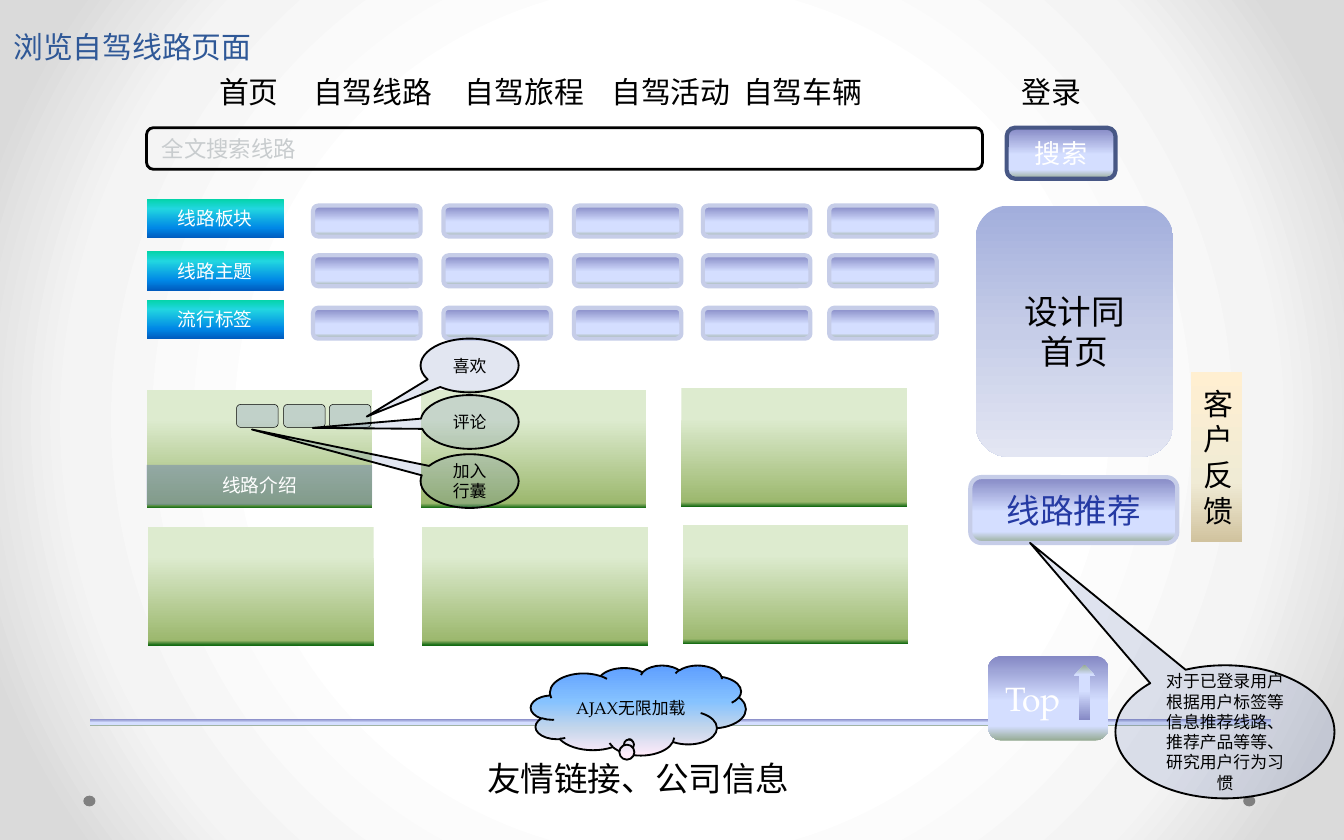
from dataclasses import dataclass
from typing import Any, Optional

from lxml import etree
from pptx import Presentation
from pptx.dml.color import RGBColor
from pptx.enum.shapes import MSO_SHAPE
from pptx.enum.text import MSO_ANCHOR, PP_ALIGN
from pptx.oxml.ns import qn
from pptx.util import Pt

RECT, ROUND = MSO_SHAPE.RECTANGLE, MSO_SHAPE.ROUNDED_RECTANGLE
OVAL, ARROW = MSO_SHAPE.OVAL, MSO_SHAPE.DOWN_ARROW
BUBBLE, CLOUD = MSO_SHAPE.OVAL_CALLOUT, MSO_SHAPE.CLOUD_CALLOUT
LEFT, CENTER = PP_ALIGN.LEFT, PP_ALIGN.CENTER
MIDDLE, BOTTOM = MSO_ANCHOR.MIDDLE, MSO_ANCHOR.BOTTOM

PX = 9144
SERIF, SANS = "TeX Gyre Pagella", "Noto Sans CJK JP"

COLORS = {
    "white": "FFFFFF", "black": "000000", "title": "2F5897", "hint": "C8CCCE",
    "dot": "808080", "slate": "6076B4", "navy": "475785", "pale": "C6CDE8",
    "link": "253AA3", "mist": "F4F4F4", "ash": "DADADA",
    "violet": "8488C4", "ice": "D4DEFF", "sage": "96AB94",
    "mint": "03D4A8", "cyan": "21D6E0", "azure": "0087E6", "cobalt": "005CBF",
    "cream": "FFEFD1", "ivory": "F0EBD5", "sand": "D1C39F",
    "panel_top": "A2AEDC", "panel_end": "E3E6F3",
    "leaf": "DDEBCF", "moss": "9CB86E", "forest": "156B13",
    "sky": "5E9EFF", "day": "85C2FF", "haze": "C4D6EB", "blush": "FFEBFA",
}
GRADIENTS = {
    "backdrop": [(50, "white"), (76, "mist"), (92, "ash")],
    "button": [(0, "violet"), (53, "ice"), (83, "ice"), (100, "sage")],
    "label": [(0, "mint"), (25, "cyan"), (75, "azure"), (100, "cobalt")],
    "feedback": [(0, "cream"), (65, "ivory"), (100, "sand")],
    "panel": [(0, "panel_top"), (50, "pale"), (100, "panel_end")],
    "card": [(25, "leaf"), (96, "moss"), (100, "forest")],
    "cloud": [(0, "sky"), (40, "day"), (70, "haze"), (100, "blush")],
}


@dataclass(frozen=True)
class Box:
    x: int
    y: int
    w: int
    h: int

    def emu(self) -> list[int]:
        return [v * PX for v in (self.x, self.y, self.w, self.h)]


@dataclass(frozen=True)
class Look:
    kind: Any
    fill: Optional[str] = None
    line: Optional[str] = None
    width: float = 1
    alpha: int = 100


@dataclass(frozen=True)
class Label:
    text: str
    size: int
    color: str = "black"
    align: Any = CENTER
    font: str = SERIF


CHIP = Look(ROUND, "button", "pale", 2.25)
TAG = Look(RECT, "label")
CARD = Look(RECT, "card")
ICON = Look(ROUND, "slate", "black", 0.25, 22)
NOTE = Look(BUBBLE, "slate", "black", 1, 18)


def rgb(name: str) -> RGBColor:
    return RGBColor.from_string(COLORS[name])


def set_stops(grad: Any, name: str, radial: bool = False) -> None:
    for child in list(grad):
        grad.remove(child)
    stops = etree.SubElement(grad, qn("a:gsLst"))
    for pos, color in GRADIENTS[name]:
        gs = etree.SubElement(stops, qn("a:gs"), pos=str(pos * 1000))
        etree.SubElement(gs, qn("a:srgbClr"), val=COLORS[color])
    if radial:
        path = etree.SubElement(grad, qn("a:path"), path="circle")
        etree.SubElement(path, qn("a:fillToRect"), **dict.fromkeys("ltrb", "50000"))
    else:
        etree.SubElement(grad, qn("a:lin"), ang="5400000", scaled="0")


def write(tf: Any, label: Label, anchor: Any = MIDDLE) -> None:
    tf.word_wrap = True
    tf.vertical_anchor = anchor
    tf.text = label.text
    for p in tf.paragraphs:
        p.alignment = label.align
        p.font.name = label.font
        p.font.size = Pt(label.size)
        p.font.color.rgb = rgb(label.color)


def add_shape(shapes: Any, box: Box, look: Look, label: Optional[Label] = None,
              adj: tuple[float, ...] = ()) -> Any:
    sp = shapes.add_shape(look.kind, *box.emu())
    sp.shadow.inherit = False
    if look.fill in GRADIENTS:
        sp.fill.gradient()
        set_stops(sp.element.spPr.find(qn("a:gradFill")), look.fill)
    elif look.fill:
        sp.fill.solid()
        sp.fill.fore_color.rgb = rgb(look.fill)
        if look.alpha < 100:
            clr = sp.element.spPr.find(qn("a:solidFill")).find(qn("a:srgbClr"))
            etree.SubElement(clr, qn("a:alpha"), val=str(look.alpha * 1000))
    else:
        sp.fill.background()
    if look.line:
        sp.line.color.rgb = rgb(look.line)
        sp.line.width = Pt(look.width)
    else:
        sp.line.fill.background()
    for i, value in enumerate(adj):
        sp.adjustments[i] = value
    if label:
        write(sp.text_frame, label)
    return sp


def add_text(shapes: Any, box: Box, label: Label) -> Any:
    tf = shapes.add_textbox(*box.emu()).text_frame
    write(tf, label)
    return tf


def add_menu(shapes: Any) -> None:
    items = ["首页", "自驾线路", "自驾旅程", "自驾活动", "自驾车辆", "登录"]
    tf = add_text(shapes, Box(97, 49, 776, 38), Label("\t".join(items), 16, align=LEFT, font=SANS))
    tf.margin_left = 66 * PX
    pPr = tf.paragraphs[0].font._element.getparent()
    tabs = etree.Element(qn("a:tabLst"))
    for pos in (70, 183, 292, 390, 597):
        etree.SubElement(tabs, qn("a:tab"), pos=str(pos * PX), algn="l")
    pPr.find(qn("a:defRPr")).addprevious(tabs)


def main() -> None:
    prs = Presentation()
    prs.slide_width, prs.slide_height = 1000 * PX, 625 * PX
    s = prs.slides.add_slide(prs.slide_layouts[5])
    s.background.fill.gradient()
    set_stops(s.element.find(".//" + qn("a:gradFill")), "backdrop", radial=True)
    shapes = s.shapes

    title = shapes.title
    title.left, title.top, title.width, title.height = Box(0, 0, 424, 53).emu()
    write(title.text_frame, Label("浏览自驾线路页面", 16, "title", LEFT), BOTTOM)
    title.text_frame.paragraphs[0].line_spacing = Pt(58)

    for x in (925, 62):
        add_shape(shapes, Box(x, 592, 9, 8), Look(OVAL, "dot"))

    add_shape(shapes, Box(109, 95, 622, 31), Look(ROUND, None, "black", 1.5),
              Label("全文搜索线路", 12, "hint", LEFT))
    add_menu(shapes)
    add_shape(shapes, Box(749, 95, 81, 38), Look(ROUND, "button", "navy", 2.25),
              Label("搜索", 14, "white"))

    for text, tag_y, chip_y in (("线路板块", 148, 153), ("线路主题", 187, 190), ("流行标签", 223, 229)):
        add_shape(shapes, Box(109, tag_y, 102, 29), TAG, Label(text, 10, "white"))
        for x in (233, 330, 427, 523, 617):
            add_shape(shapes, Box(x, chip_y, 80, 23), CHIP)

    add_shape(shapes, Box(67, 535, 879, 5), Look(RECT, "button"))
    add_text(shapes, Box(153, 551, 644, 56), Label("友情链接、公司信息", 18))

    top = shapes.add_group_shape().shapes
    add_shape(top, Box(735, 488, 90, 63), Look(ROUND, "button"), Label("Top", 18, "white", LEFT))
    arrow = add_shape(top, Box(799, 495, 16, 41), Look(ARROW, "button"))
    for flip in ("flipH", "flipV"):
        arrow.element.spPr.xfrm.set(flip, "1")

    add_shape(shapes, Box(886, 277, 38, 126), Look(RECT, "feedback"), Label("客户反馈", 16))
    add_shape(shapes, Box(726, 153, 147, 187), Look(ROUND, "panel"), Label("设计同\n首页", 18))

    for row in range(2):
        for x, y in ((109, 290), (313, 290), (507, 289)):
            add_shape(shapes, Box(x + row, y + 102 * row, 168, 88), CARD)
    add_shape(shapes, Box(109, 346, 168, 30), Look(RECT, "slate", alpha=42),
              Label("线路介绍", 10, "white"))
    for x in (176, 211, 245):
        add_shape(shapes, Box(x, 301, 31, 17), ICON)

    for text, y, adj in (("喜欢", 252, (-1.05, 0.95)), ("评论", 294, (-1.6, 0.11)),
                         ("加入行囊", 338, (-2.22, -0.96))):
        add_shape(shapes, Box(313, y, 73, 40), NOTE, Label(text, 9), adj)
    add_shape(shapes, Box(395, 495, 160, 67), Look(CLOUD, "cloud", "black"),
              Label("AJAX无限加载", 9), (-0.04, 0.35))
    add_shape(shapes, Box(722, 355, 154, 49), CHIP, Label("线路推荐", 18, "link"))
    advice = "对于已登录用户根据用户标签等信息推荐线路、推荐产品等等、研究用户行为习惯"
    add_shape(shapes, Box(830, 495, 163, 99), NOTE, Label(advice, 9), (-0.89, -1.42))

    prs.save("out.pptx")


if __name__ == "__main__":
    main()
